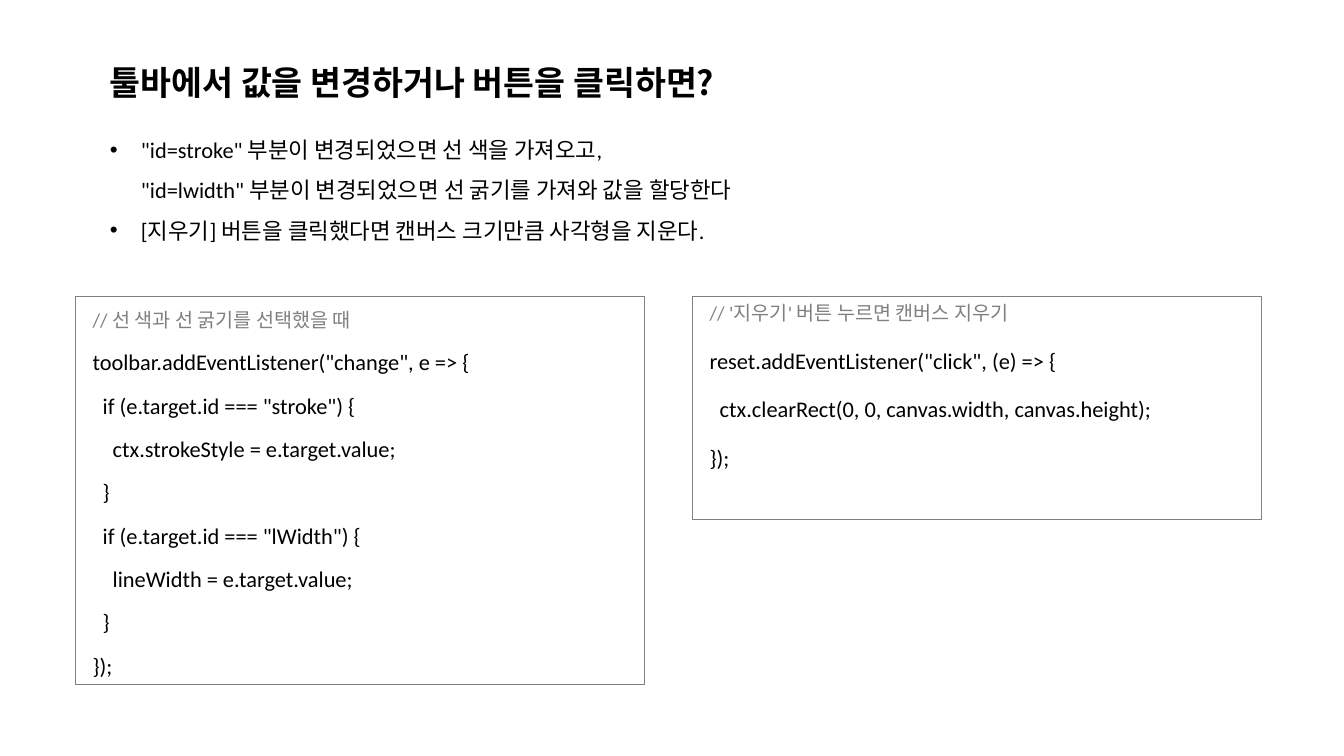
from copy import deepcopy

from lxml import etree
from pptx import Presentation
from pptx.dml.color import RGBColor
from pptx.enum.shapes import MSO_SHAPE
from pptx.enum.text import MSO_ANCHOR, MSO_AUTO_SIZE, PP_ALIGN
from pptx.oxml.ns import qn
from pptx.util import Inches, Pt

RECTANGLE = MSO_SHAPE.RECTANGLE
TOP = MSO_ANCHOR.TOP
GROW = MSO_AUTO_SIZE.SHAPE_TO_FIT_TEXT
LEFT = PP_ALIGN.LEFT

COLORS = {"text": "000000", "comment": "808080", "border": "808080"}
LATIN, KOREAN = "Calibri", "Noto Sans CJK KR"
CODE_MARGIN, CODE_STEP = 0.07, 0.1

# Code lines: (indent level, text)
CHANGE_CODE = [
    (0, 'toolbar.addEventListener("change", e => {'),
    (1, 'if (e.target.id === "stroke") {'),
    (2, "ctx.strokeStyle = e.target.value;"),
    (1, "}"),
    (1, 'if (e.target.id === "lWidth") {'),
    (2, "lineWidth = e.target.value;"),
    (1, "}"),
    (0, "});"),
]
RESET_CODE = [
    (0, 'reset.addEventListener("click", (e) => {'),
    (1, "ctx.clearRect(0, 0, canvas.width, canvas.height);"),
    (0, "});"),
]
BULLETS = [
    ['"id=stroke" 부분이 변경되었으면 선 색을 가져오고,',
     '"id=lwidth" 부분이 변경되었으면 선 굵기를 가져와 값을 할당한다'],
    ["[지우기] 버튼을 클릭했다면 캔버스 크기만큼 사각형을 지운다."],
]


class SlideBuilder:
    def __init__(self, slide):
        self.slide = slide

    def add_run(self, paragraph, text, size, color="text", font=LATIN, bold=False):
        run = paragraph.add_run()
        run.text = text
        run.font.size = Pt(size)
        run.font.bold = bold
        run.font.name = font
        run.font.color.rgb = RGBColor.from_string(COLORS[color])
        properties = run.font._element
        etree.SubElement(properties, qn("a:ea"), typeface=KOREAN)
        return properties

    def prepare_frame(self, shape):
        frame = shape.text_frame
        frame.word_wrap = True
        frame.auto_size = GROW
        frame.vertical_anchor = TOP
        return frame

    def next_paragraph(self, frame, index, margin=0, hanging=0, spacing=1.0):
        paragraph = frame.add_paragraph() if index else frame.paragraphs[0]
        paragraph.alignment = LEFT
        paragraph.line_spacing = spacing
        properties = paragraph._p.get_or_add_pPr()
        properties.set("marL", str(Inches(margin)))
        properties.set("indent", str(-Inches(hanging)))
        return paragraph

    def text_box(self, left, top, width, height):
        box = self.slide.shapes.add_textbox(
            Inches(left), Inches(top), Inches(width), Inches(height))
        return self.prepare_frame(box)

    def title(self, text, *place):
        paragraph = self.next_paragraph(self.text_box(*place), 0)
        self.add_run(paragraph, text, 24, font=KOREAN, bold=True)

    def bullets(self, items, *place):
        frame = self.text_box(*place)
        for index, lines in enumerate(items):
            paragraph = self.next_paragraph(frame, index, 0.31, 0.31, 1.5)
            properties = paragraph._p.get_or_add_pPr()
            etree.SubElement(properties, qn("a:buFont"), typeface="Arial")
            etree.SubElement(properties, qn("a:buChar"), char="•")
            for number, line in enumerate(lines):
                if number:
                    paragraph.add_line_break()
                    paragraph._p[-1].append(deepcopy(run_style))
                run_style = self.add_run(paragraph, line, 16)

    def code_box(self, comment, code, left, height, spacing, comment_spacing):
        box = self.slide.shapes.add_shape(
            RECTANGLE, Inches(left), Inches(2.94), Inches(5.64), Inches(height))
        box.shadow.inherit = False
        box.fill.background()
        box.line.color.rgb = RGBColor.from_string(COLORS["border"])
        box.line.width = Pt(0.75)
        frame = self.prepare_frame(box)
        for index, (level, text) in enumerate([(0, comment)] + code):
            paragraph = self.next_paragraph(
                frame, index, CODE_MARGIN + level * CODE_STEP,
                spacing=spacing if index else comment_spacing)
            paragraph.space_before = paragraph.space_after = Pt(3)
            if index:
                self.add_run(paragraph, text, 16)
            else:
                self.add_run(paragraph, text, 14, "comment")


def main():
    deck = Presentation()
    deck.slide_width, deck.slide_height = Inches(13.33), Inches(7.5)
    builder = SlideBuilder(deck.slides.add_slide(deck.slide_layouts[6]))

    # Heading and explanation
    builder.title("툴바에서 값을 변경하거나 버튼을 클릭하면?", 0.99, 0.57, 7.3, 0.5)

    # Code for toolbar changes
    builder.code_box("// 선 색과 선 굵기를 선택했을 때", CHANGE_CODE, 0.75, 3.85, 1.3, 1.3)

    builder.bullets(BULLETS, 0.99, 1.17, 9.89, 1.66)

    # Code for the reset button
    builder.code_box("// '지우기' 버튼 누르면 캔버스 지우기", RESET_CODE, 6.87, 2.21, 1.5, 1.0)

    deck.save("out.pptx")


if __name__ == "__main__":
    main()
